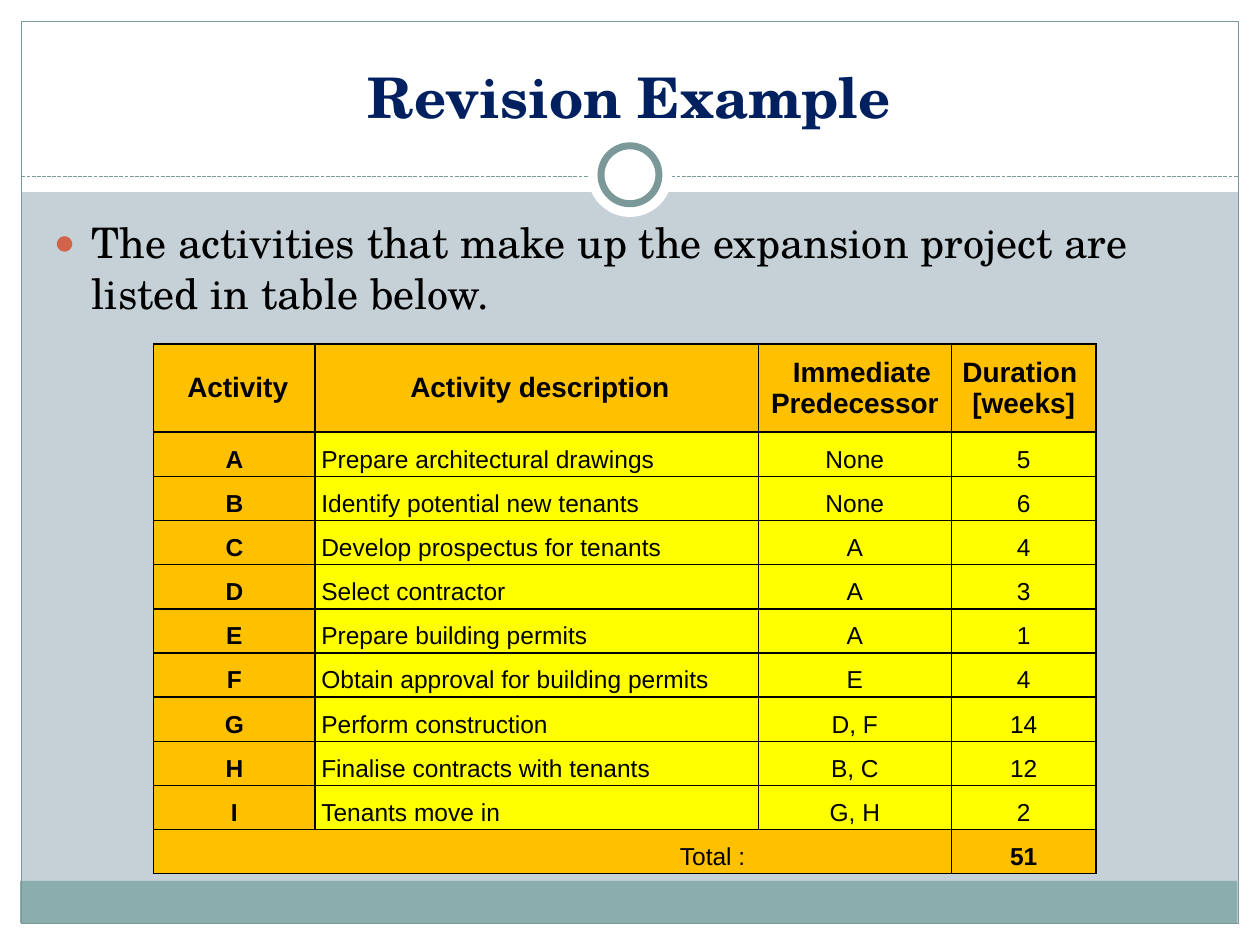
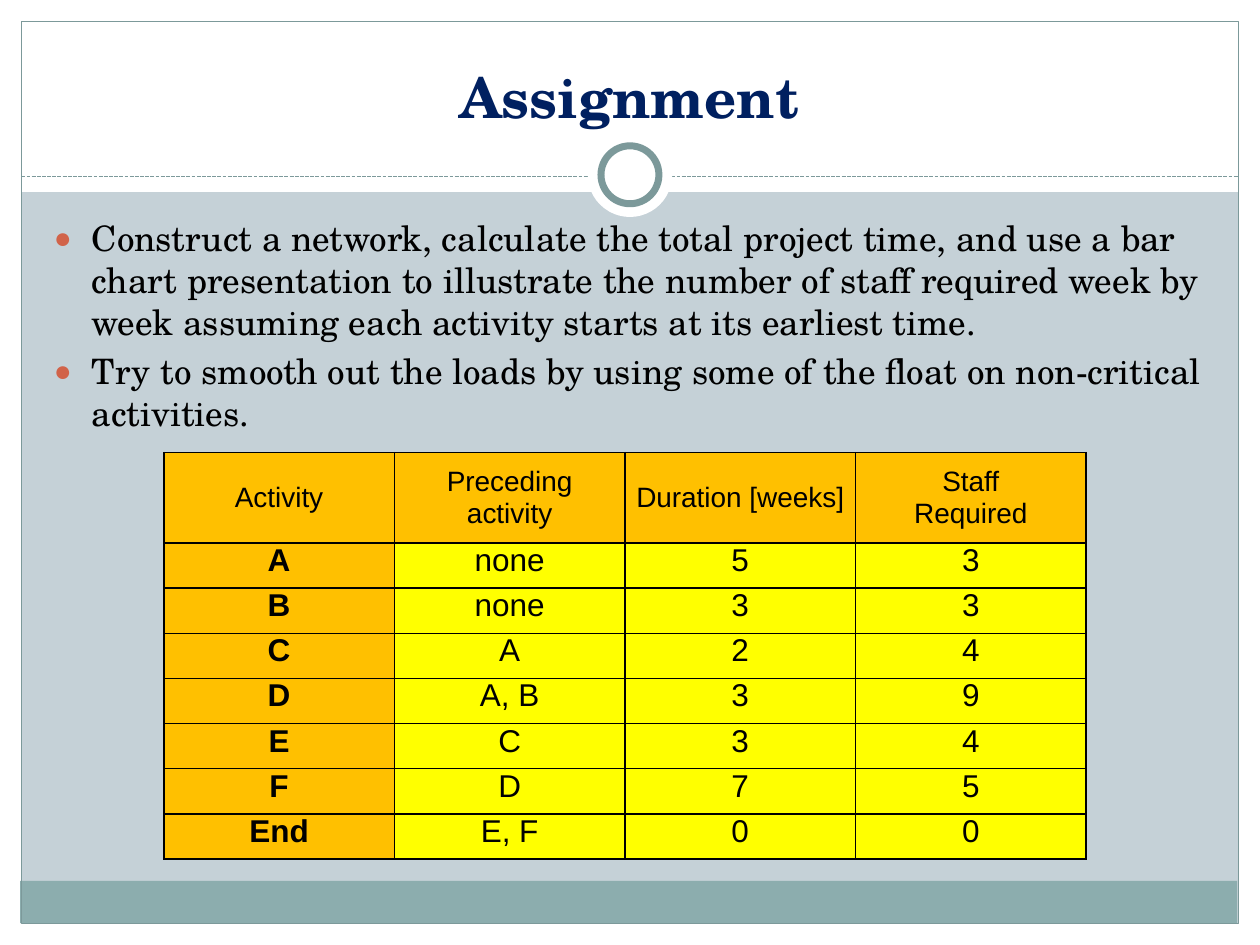
from lxml.etree import SubElement
from pptx import Presentation
from pptx.dml.color import RGBColor
from pptx.enum.dml import MSO_LINE
from pptx.enum.shapes import MSO_CONNECTOR, MSO_SHAPE
from pptx.enum.text import MSO_ANCHOR, PP_ALIGN
from pptx.oxml.ns import qn
from pptx.util import Emu, Inches, Pt

WIDTH, HEIGHT = Inches(10), Inches(7.5)
SERIF, SANS = "TeX Gyre Schola", "Arial"
WHITE, BLACK, NAVY = "FFFFFF", "000000", "002060"
BACKDROP, BAND, OUTLINE, BULLET = "C5D1D7", "8CADAE", "7C999A", "D16349"
ORANGE, YELLOW = "FFC000", "FFFF00"

ACTIVITIES = [
    ("A", "Prepare architectural drawings", "", "None", "5"),
    ("B", "Identify potential new tenants", "", "None", "6"),
    ("C", "Develop prospectus for tenants", "", "A", "4"),
    ("D", "Select contractor", "", "A", "3"),
    ("E", "Prepare building permits", "", "A", "1"),
    ("F", "Obtain approval for building permits", "", "E", "4"),
    ("G", "Perform construction", "", "D, F", "14"),
    ("H", "Finalise contracts with tenants", "", "B, C", "12"),
    ("I", "Tenants move in", "", "G, H", "2"),
]
STAFFING = [
    ("A", "none", "5", "3"),
    ("B", "none", "3", "3"),
    ("C", "A", "2", "4"),
    ("D", "A, B", "3", "9"),
    ("E", "C", "3", "4"),
    ("F", "D", "7", "5"),
    ("End", "E, F", "0", "0"),
]


def color(value):
    """Turn a hex string into a colour."""
    return RGBColor.from_string(value)


def across(percent):
    """Length as a percentage of the slide's width."""
    return Emu(round(WIDTH * percent / 100))


def down(percent):
    """Length as a percentage of the slide's height."""
    return Emu(round(HEIGHT * percent / 100))


def area(left, top, width, height):
    """Box given in percentages of the slide."""
    return across(left), down(top), across(width), down(height)


def add_block(slide, kind, box, fill=None, line=None, weight=0.75):
    """Add a preset shape with an optional fill and outline."""
    shape = slide.shapes.add_shape(kind, *box)
    shape.shadow.inherit = False
    if fill:
        shape.fill.solid()
        shape.fill.fore_color.rgb = color(fill)
    else:
        shape.fill.background()
    if line:
        shape.line.color.rgb = color(line)
        shape.line.width = Pt(weight)
    else:
        shape.line.fill.background()


def add_disc(slide, diameter, line=None):
    """Add a white disc centred on the divider."""
    size = across(diameter)
    box = across(50) - size // 2, down(18.5) - size // 2, size, size
    add_block(slide, MSO_SHAPE.OVAL, box, WHITE, line, 4)


def add_divider(slide):
    """Add the dashed line below the title."""
    line = slide.shapes.add_connector(
        MSO_CONNECTOR.STRAIGHT, across(1.7), down(18.7), across(98.3), down(18.7))
    line.line.color.rgb = color(OUTLINE)
    line.line.width = Pt(0.75)
    line.line.dash_style = MSO_LINE.SQUARE_DOT
    SubElement(line._element.spPr, qn("a:effectLst"))


def format_text(para, font, size, ink, bold=False):
    """Format every run of a paragraph."""
    for span in para.runs:
        span.font.name = font
        span.font.size = Pt(size)
        span.font.bold = bold
        span.font.color.rgb = color(ink)


def add_title(slide, text):
    """Add the centred slide title."""
    frame = slide.shapes.add_textbox(*area(3.3, 3.3, 93.3, 11.1)).text_frame
    frame.word_wrap = True
    frame.vertical_anchor = MSO_ANCHOR.BOTTOM
    frame.text = text
    para = frame.paragraphs[0]
    para.alignment = PP_ALIGN.CENTER
    format_text(para, SERIF, 32, NAVY, True)


def add_bullet(para):
    """Give a paragraph a hanging round bullet."""
    props = para._p.get_or_add_pPr()
    props.set("marL", str(Inches(0.3)))
    props.set("indent", str(-Inches(0.3)))
    tint = SubElement(props, qn("a:buClr"))
    SubElement(tint, qn("a:srgbClr"), val=BULLET)
    SubElement(props, qn("a:buSzPct"), val="85000")
    SubElement(props, qn("a:buFont"), typeface=SANS)
    SubElement(props, qn("a:buChar"), char="●")


def add_bullets(slide, lines, size):
    """Add the bulleted body text."""
    frame = slide.shapes.add_textbox(*area(3.3, 22.3, 93.6, 66.7)).text_frame
    frame.word_wrap = True
    frame.text = "\n".join(lines)
    for para in frame.paragraphs:
        para.space_before = Pt(size * 0.2)
        add_bullet(para)
        format_text(para, SERIF, size, BLACK)


def set_borders(cell, sides):
    """Draw the named sides of a cell and clear the others."""
    props = cell._tc.get_or_add_tcPr()
    for side in "LRTB":
        line = SubElement(props, qn(f"a:ln{side}"), w=str(Pt(1)))
        if side in sides:
            fill = SubElement(line, qn("a:solidFill"))
            SubElement(fill, qn("a:srgbClr"), val=BLACK)
        else:
            SubElement(line, qn("a:noFill"))


def set_cell(cell, text, size, fill, bold=False, align=PP_ALIGN.CENTER,
             spacing=1, anchor=MSO_ANCHOR.TOP, sides="LRTB"):
    """Fill, frame and format one table cell."""
    set_borders(cell, sides)
    cell.fill.solid()
    cell.fill.fore_color.rgb = color(fill)
    cell.margin_left = cell.margin_right = Inches(0.05)
    cell.margin_top = cell.margin_bottom = 0
    cell.vertical_anchor = anchor
    cell.text_frame.text = text
    for para in cell.text_frame.paragraphs:
        para.alignment = align
        para.line_spacing = spacing
        format_text(para, SANS, size, BLACK, bold)


def add_grid(slide, left, top, widths, row_height, row_count):
    """Add a plain table whose header is two rows high."""
    box = area(left, top, sum(widths), row_height * (row_count + 1))
    table = slide.shapes.add_table(row_count, len(widths), *box).table
    table.first_row = table.horz_banding = False
    for column, width in zip(table.columns, widths):
        column.width = across(width)
    for index, row in enumerate(table.rows):
        row.height = down(row_height * (1 if index else 2))
    return table


def fill_header(table, labels, bold=False):
    """Fill the header row."""
    for index, label in enumerate(labels):
        set_cell(table.cell(0, index), label, 16, ORANGE, bold, anchor=MSO_ANCHOR.MIDDLE)


def fill_rows(table, rows, size, spacing=1, left_column=None):
    """Fill the rows below the header, with a bold first column."""
    for number, values in enumerate(rows, 1):
        for index, value in enumerate(values):
            key = index == 0
            align = PP_ALIGN.LEFT if index == left_column else PP_ALIGN.CENTER
            set_cell(table.cell(number, index), value, size,
                     ORANGE if key else YELLOW, key, align, spacing)


def fill_total(table, total):
    """Fill the last row, open between the cells before the total."""
    last = len(table.rows) - 1
    texts = ("", "", "Total : ", "", total)
    for index, (text, sides) in enumerate(zip(texts, ("LTB", "TB", "TB", "RTB", "LRTB"))):
        align = PP_ALIGN.RIGHT if index == 2 else PP_ALIGN.CENTER
        set_cell(table.cell(last, index), text, 14, ORANGE, index == 4, align, 1.5, sides=sides)
    table.cell(last, 0).merge(table.cell(last, 1))


def add_slide(deck, title, bullets, size):
    """Add a slide with the shared frame, title and body text."""
    slide = deck.slides.add_slide(deck.slide_layouts[6])
    slide.background.fill.solid()
    slide.background.fill.fore_color.rgb = color(BACKDROP)
    margins = [(0, 97.7, 100, 2.3), (0, 0, 100, 20.3), (0, 0, 1.7, 100), (98.3, 0, 1.7, 100)]
    for margin in margins:
        add_block(slide, MSO_SHAPE.RECTANGLE, area(*margin), WHITE)
    add_block(slide, MSO_SHAPE.RECTANGLE, area(1.6, 93.2, 96.6, 4.5), BAND)
    add_block(slide, MSO_SHAPE.RECTANGLE, area(1.7, 2.3, 96.6, 95.4), line=OUTLINE)
    add_divider(slide)
    add_disc(slide, 6.7)
    add_disc(slide, 4.6, OUTLINE)
    add_title(slide, title)
    add_bullets(slide, bullets, size)
    return slide


def add_revision_slide(deck):
    """Add the slide with the activities of the expansion project."""
    slide = add_slide(deck, "Revision Example", [
        "The activities that make up the expansion project are listed in table below."], 24)
    table = add_grid(slide, 12.2, 36.4, (12.8, 2, 33.2, 15.3, 11.5), 4.67, len(ACTIVITIES) + 2)
    fill_header(table, (" Activity", "Activity description", "",
                        " Immediate Predecessor", "Duration \n[weeks]"), True)
    for index in (1, 3):
        para = table.cell(0, index).text_frame.paragraphs[0]
        para._p.get_or_add_pPr().set("indent", str(Inches(0.05)))
    fill_rows(table, ACTIVITIES, 14, 1.5, left_column=1)
    for number in range(len(ACTIVITIES) + 1):
        table.cell(number, 1).merge(table.cell(number, 2))
    fill_total(table, "51")


def add_assignment_slide(deck):
    """Add the slide with the staffing assignment."""
    slide = add_slide(deck, "Assignment", [
        "Construct a network, calculate the total project time, and use a bar chart "
        "presentation to illustrate the number of staff required week by week assuming "
        "each activity starts at its earliest time.",
        "Try to smooth out the loads by using some of the float on non-critical activities."], 20)
    table = add_grid(slide, 13, 47.9, [18.3] * 4, 4.78, len(STAFFING) + 1)
    fill_header(table, ("Activity", "Preceding activity", "Duration [weeks]", "Staff\nRequired"))
    fill_rows(table, STAFFING, 18)


def main():
    """Build and save the deck."""
    deck = Presentation()
    deck.slide_width, deck.slide_height = WIDTH, HEIGHT
    add_revision_slide(deck)
    add_assignment_slide(deck)
    deck.save("out.pptx")


if __name__ == "__main__":
    main()
